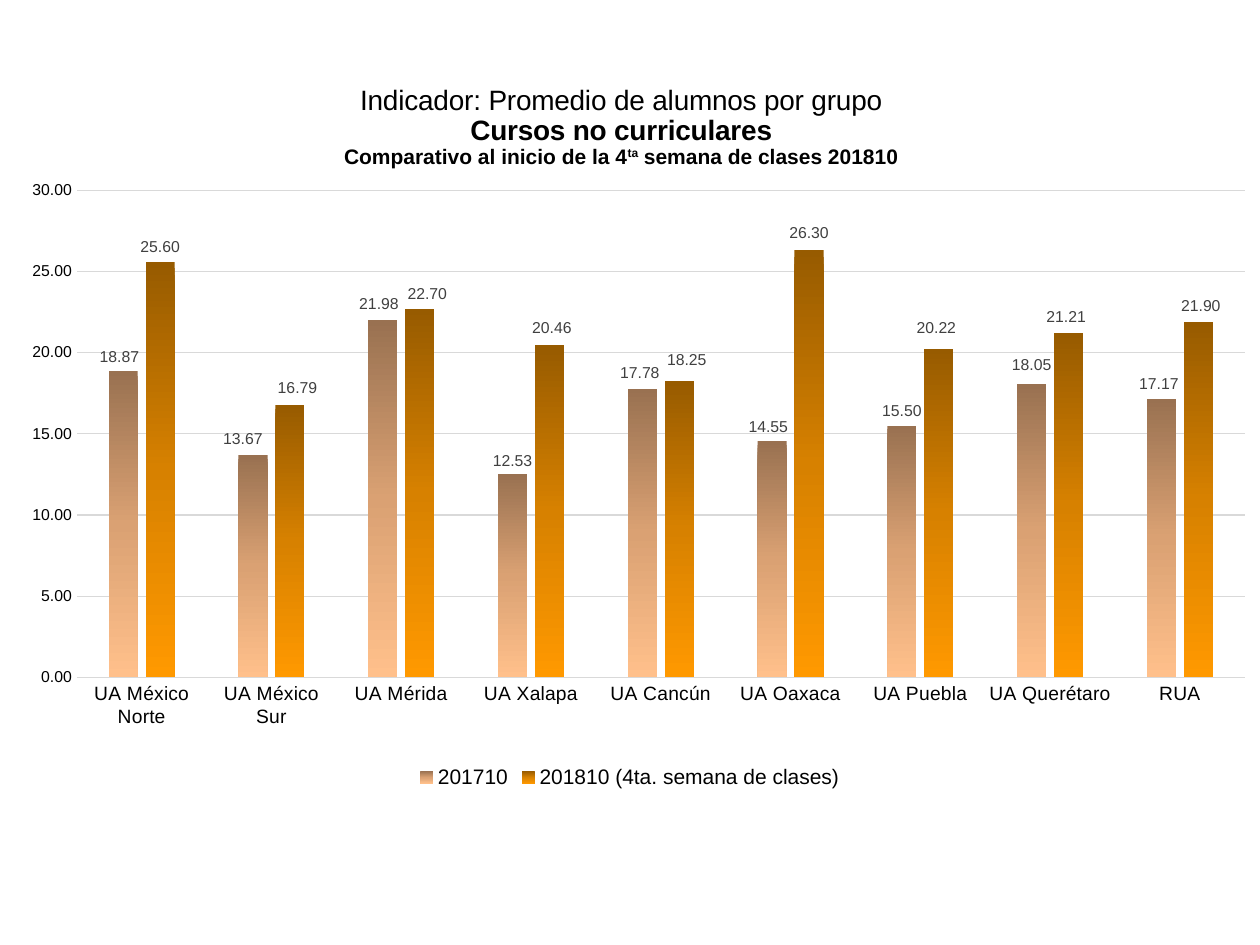
"""Build a slide comparing average students per group across campuses."""
from lxml import etree
from pptx import Presentation
from pptx.chart.data import CategoryChartData
from pptx.dml.color import RGBColor
from pptx.enum.chart import XL_CHART_TYPE, XL_LABEL_POSITION, XL_LEGEND_POSITION, XL_TICK_MARK
from pptx.oxml import parse_xml
from pptx.oxml.ns import qn
from pptx.util import Inches, Pt

COLUMNS = XL_CHART_TYPE.COLUMN_CLUSTERED
OUTSIDE_END = XL_LABEL_POSITION.OUTSIDE_END
BOTTOM = XL_LEGEND_POSITION.BOTTOM
NO_TICK = XL_TICK_MARK.NONE
DRAWING = "http://schemas.openxmlformats.org/drawingml/2006/main"

CHART_WIDTH, CHART_HEIGHT = 10, 5.73
CAMPUSES = ["UA México Norte", "UA México Sur", "UA Mérida", "UA Xalapa", "UA Cancún",
            "UA Oaxaca", "UA Puebla", "UA Querétaro", "RUA"]
SERIES = [
    {"name": "201710",
     "values": [18.87, 13.67, 21.98, 12.53, 17.78, 14.55, 15.5, 18.05, 17.17],
     "gradient": ["997151", "DAA173", "FFC08B"],
     "label_shifts": [(-0.03, 0), (-0.08, -0.02), (-0.03, -0.02), (0, 0.01), (-0.02, -0.01),
                      (-0.03, 0), (0, 0), (0, -0.04), (-0.02, 0)]},
    {"name": "201810 (4ta. semana de clases)",
     "values": [25.6, 16.79, 22.7, 20.46, 18.25, 26.3, 20.22, 21.21, 21.9],
     "gradient": ["975B00", "D78100", "FF9900"],
     "label_shifts": [(0, 0), (0.06, -0.02), (0.06, 0), (0.02, -0.02), (0.06, -0.05),
                      (0, -0.02), (-0.02, -0.05), (-0.02, -0.01), (0.02, -0.01)]},
]
TITLE = [
    [("Indicador: Promedio de alumnos por grupo", 16, False, None)],
    [("Cursos no curriculares", 16, True, None)],
    [("Comparativo al inicio de la 4", 12, True, None), ("ta", 12, True, "30000"),
     (" semana de clases 201810", 12, True, None)],
]


def color(value):
    return RGBColor.from_string(value)


def style_font(font, size, value="000000", bold=False, name="Arial"):
    font.name, font.size, font.bold = name, Pt(size), bold
    font.color.rgb = color(value)


def style_line(line):
    line.color.rgb = color("D9D9D9")
    line.width = Pt(0.75)


def manual_layout(**settings):
    layout = etree.Element(qn("c:layout"))
    manual = etree.SubElement(layout, qn("c:manualLayout"))
    for name, value in settings.items():
        etree.SubElement(manual, qn(f"c:{name}")).set("val", str(value))
    return layout


def set_layout(parent, previous_tag, layout):
    for old in parent.findall(qn("c:layout")):
        parent.remove(old)
    previous = parent.find(qn(previous_tag)) if previous_tag else None
    if previous is None:
        parent.insert(0, layout)
    else:
        previous.addnext(layout)


def add_title(chart):
    frame = chart.chart_title.text_frame
    for index, runs in enumerate(TITLE):
        paragraph = frame.add_paragraph() if index else frame.paragraphs[0]
        for text, size, bold, baseline in runs:
            run = paragraph.add_run()
            run.text = text
            style_font(run.font, size, bold=bold)
            if baseline:
                run.font._element.set("baseline", baseline)
    chart.chart_title.include_in_layout = False
    set_layout(chart.chart_title._element, "c:tx",
               manual_layout(xMode="edge", yMode="edge", x=0.27, y=0.01))


def style_axes(chart):
    category, value = chart.category_axis, chart.value_axis
    for axis, size in ((category, 11), (value, 9)):
        axis.major_tick_mark = axis.minor_tick_mark = NO_TICK
        style_font(axis.tick_labels.font, size)
    style_line(category.format.line)
    style_line(value.major_gridlines.format.line)
    value.format.line.fill.background()
    value.minimum_scale, value.maximum_scale, value.major_unit = 0, 30, 5
    value.tick_labels.number_format = "0.00"
    value.tick_labels.number_format_is_linked = False


def style_series(series, details):
    stops = "".join(f'<a:gs pos="{index * 50000}"><a:srgbClr val="{value}"/></a:gs>'
                    for index, value in enumerate(details["gradient"]))
    gradient = parse_xml(f'<a:gradFill xmlns:a="{DRAWING}" rotWithShape="1"><a:gsLst>{stops}'
                         '</a:gsLst><a:lin ang="5400000" scaled="0"/></a:gradFill>')
    series.format.line.fill.background()
    series._element.spPr.insert(0, gradient)
    labels = series.data_labels
    labels.show_value = True
    labels.position = OUTSIDE_END
    labels.number_format, labels.number_format_is_linked = "0.00", False
    style_font(labels.font, 9, "404040")
    for index, (across, down) in enumerate(details["label_shifts"]):
        if across or down:
            label = series.points[index].data_label
            label.position = OUTSIDE_END
            style_font(label.font, 9, "404040")
            element = labels._element.findall(qn("c:dLbl"))[-1]
            set_layout(element, "c:idx", manual_layout(
                x=round(across / CHART_WIDTH, 4), y=round(down / CHART_HEIGHT, 4)))


def main():
    presentation = Presentation()
    presentation.slide_width, presentation.slide_height = Inches(10), Inches(7.5)
    slide = presentation.slides.add_slide(presentation.slide_layouts[6])
    data = CategoryChartData(number_format="0.00")
    data.categories = CAMPUSES
    for details in SERIES:
        data.add_series(details["name"], details["values"])
    chart = slide.shapes.add_chart(COLUMNS, Inches(0), Inches(0.57), Inches(CHART_WIDTH),
                                   Inches(CHART_HEIGHT), data).chart
    style_font(chart.font, 10, name="Calibri")
    add_title(chart)
    style_axes(chart)
    plot = chart.plots[0]
    plot.gap_width, plot.overlap, plot.vary_by_categories = 219, -27, False
    for series, details in zip(plot.series, SERIES):
        style_series(series, details)
    set_layout(chart._chartSpace.chart.plotArea, None, manual_layout(
        layoutTarget="inner", xMode="edge", yMode="edge", x=0.061, y=0.164, w=0.927, h=0.675))
    chart.has_legend = True
    chart.legend.position = BOTTOM
    chart.legend.include_in_layout = False
    style_font(chart.legend.font, 12)
    presentation.save("out.pptx")


if __name__ == "__main__":
    main()
